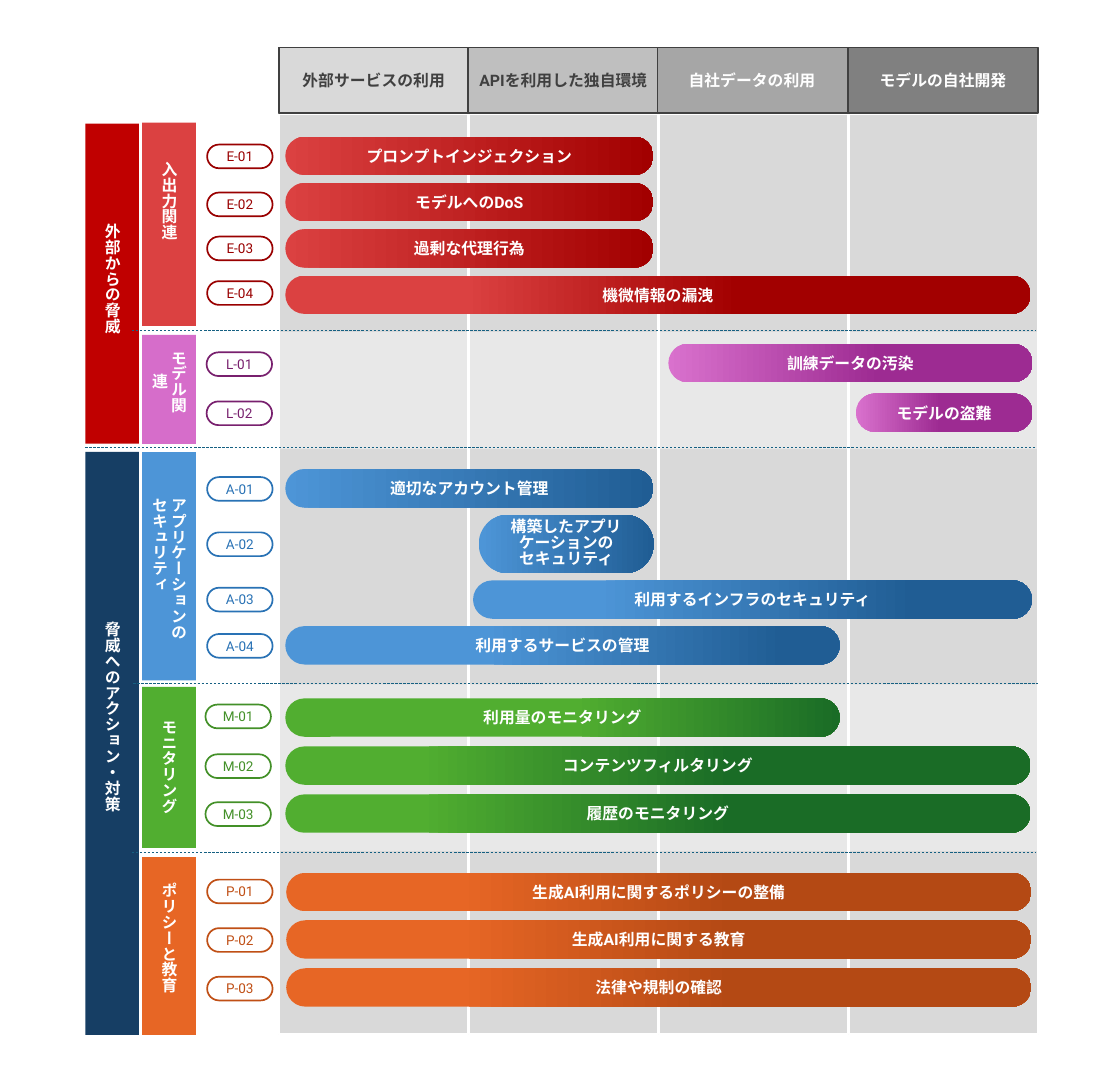
from lxml import etree
from pptx import Presentation
from pptx.dml.color import RGBColor
from pptx.enum import dml, shapes, text
from pptx.oxml import ns
from pptx.util import Pt

COLORS = {
    "white": "FFFFFF", "ink": "404040", "column": "D9D9D9", "divider": "156082",
    "threat": "C00000", "action": "163E64",
    "stage1": "D9D9D9", "stage2": "BFBFBF", "stage3": "A6A6A6", "stage4": "808080",
    "E": "DB4141", "E_end": "A20000", "E_code": "990000",
    "L": "D971CD", "L_end": "9D2B92", "L_code": "78206E", "L_tab": "D66DCA",
    "A": "4D95D7", "A_end": "205D94", "A_code": "2972B5",
    "M": "51AE30", "M_end": "1A6C26", "M_code": "439028",
    "P": "E76625", "P_end": "B44914", "P_code": "C04F15",
}
RECT = shapes.MSO_SHAPE.RECTANGLE
ROUND = shapes.MSO_SHAPE.ROUNDED_RECTANGLE
PLATE = shapes.MSO_SHAPE.PENTAGON
GRID_LEFT, GRID_TOP, COLUMN_PITCH, COLUMN_WIDTH = 247, 101, 168.25, 167.75
TAB_WIDTH, BAR_HEIGHT = 47.5, 34

deck = Presentation()
deck.slide_width, deck.slide_height = Pt(992), Pt(960)
slide = deck.slides.add_slide(deck.slide_layouts[6])


def add_block(kind, box, fill=None, line=None, adjust=None):
    """Add a shadowless preset shape; fill and line are keys of COLORS."""
    block = slide.shapes.add_shape(kind, *map(Pt, box))
    block.shadow.inherit = False
    if adjust is not None:
        block.adjustments[0] = adjust
    if fill:
        block.fill.solid()
        block.fill.fore_color.rgb = RGBColor.from_string(COLORS[fill])
    else:
        block.fill.background()
    if line:
        block.line.color.rgb = RGBColor.from_string(COLORS[line])
        block.line.width = Pt(1.5)
    else:
        block.line.fill.background()
    return block


def write(target, lines, color="white", size=14, bold=True, centred=True, spacing=None):
    """Write one paragraph per line into the target's text frame."""
    frame = target.text_frame
    frame.word_wrap = True
    for i, line in enumerate(lines):
        paragraph = frame.add_paragraph() if i else frame.paragraphs[0]
        paragraph.alignment = text.PP_ALIGN.CENTER if centred else text.PP_ALIGN.LEFT
        paragraph.line_spacing = spacing
        run = paragraph.add_run()
        run.text = line
        run.font.name, run.font.size, run.font.bold = "Roboto", Pt(size), bold
        run.font.color.rgb = RGBColor.from_string(COLORS[color])
    return frame


# Background columns and lightened bands
for i in range(4):
    add_block(RECT, (GRID_LEFT + i * COLUMN_PITCH, GRID_TOP, COLUMN_WIDTH, 815),
              "column", "white")
for left, top, height in [(241, 294, 103.5), (236, 606, 147.5)]:
    band = add_block(ROUND, (left, top, 685, height), "white", adjust=0)
    tint = band.fill._xPr.find(".//" + ns.qn("a:srgbClr"))
    etree.SubElement(tint, ns.qn("a:alpha"), val="40000")

# Header: overlapping plates, the rearmost reaching furthest right
for left, right, fill in [(247, 919.5, "stage4"), (278, 751, "stage3"),
                          (278, 582.5, "stage2"), (247, 414.75, "stage1")]:
    add_block(PLATE, (left, 42, right - left, 58), fill, "ink", 0)
for left, width, title, color in [
    (260, 142, "外部サービスの利用", "ink"),
    (417, 164, "APIを利用した独自環境", "ink"),
    (599, 134, "自社データの利用", "white"),
    (764, 142.5, "モデルの自社開発", "white"),
]:
    heading = slide.shapes.add_textbox(Pt(left), Pt(59), Pt(width), Pt(24.5))
    write(heading, [title], color).auto_size = text.MSO_AUTO_SIZE.SHAPE_TO_FIT_TEXT

# Vertical tabs: left, top, height, fill, label top, label height, label lines
for left, top, height, fill, label_top, label_height, lines in [
    (75.6, 109.5, 283.5, "threat", 191, 121, ["外部からの脅威"]),
    (75.6, 400.3, 516.3, "action", 543.6, 229, ["脅威へのアクション・対策"]),
    (126, 108.7, 180, "E", 136, 124.5, ["入出力関連"]),
    (126, 296.6, 96.5, "L_tab", 303, 83.5, ["モデル関連"]),
    (126, 400.3, 202.3, "A", 433.5, 147.6, ["アプリケーションの", "セキュリティ"]),
    (126, 608.4, 142.5, "M", 630, 98.6, ["モニタリング"]),
    (126, 759, 157.6, "P", 774.7, 125.3, ["ポリシーと教育"]),
]:
    add_block(RECT, (left, top, TAB_WIDTH, height), fill)
    label_width = 31.7 if len(lines) == 1 else 48.2
    label = slide.shapes.add_textbox(Pt(left + (TAB_WIDTH - label_width) / 2), Pt(label_top),
                                     Pt(label_width), Pt(label_height))
    frame = write(label, lines, centred=len(lines) == 1)
    frame.vertical_anchor = text.MSO_ANCHOR.MIDDLE
    frame.auto_size = text.MSO_AUTO_SIZE.SHAPE_TO_FIT_TEXT
    frame._txBody.bodyPr.set("vert", "eaVert")

# Rows per family: code top, bar left, bar top, bar width, gradient stops in %, bar lines
families = {
    "E": (183.5, [
        (128, 252.7, 121, 326, (0, 100), ["プロンプトインジェクション"]),
        (170.5, 252.7, 162, 326, (0, 100), ["モデルへのDoS"]),
        (209.5, 252.7, 203, 326, (0, 100), ["過剰な代理行為"]),
        (249, 252.7, 244, 660, (24, 61), ["機微情報の漏洩"]),
    ]),
    "L": (183, [
        (312, 592, 304.5, 322.5, (0, 58), ["訓練データの汚染"]),
        (355.5, 758, 348.5, 156.5, (0, 48), ["モデルの盗難"]),
    ]),
    "A": (183.5, [
        (422.5, 252.7, 415.5, 326, (0, 100), ["適切なアカウント管理"]),
        (471.5, 424, 455.8, 155, (1, 100), ["構築したアプリケーションの", "セキュリティ"]),
        (520.5, 419, 514, 495, (22, 79), ["利用するインフラのセキュリティ"]),
        (561.5, 252.7, 554.5, 491, (36, 90), ["利用するサービスの管理"]),
    ]),
    "M": (182, [
        (624, 252.7, 618.5, 491, (52, 100), ["利用量のモニタリング"]),
        (668, 252.7, 661, 660, (18, 60), ["コンテンツフィルタリング"]),
        (710.5, 252.7, 703.5, 660, (18, 60), ["履歴のモニタリング"]),
    ]),
    "P": (183.5, [
        (779, 253.5, 773, 660, (23, 60), ["生成AI利用に関するポリシーの整備"]),
        (822, 253.5, 815, 660, (23, 60), ["生成AI利用に関する教育"]),
        (865, 253.5, 857.5, 660, (23, 60), ["法律や規制の確認"]),
    ]),
}
for family, (code_left, rows) in families.items():
    code_color = family + "_code"
    for number, (code_top, left, top, width, stops, lines) in enumerate(rows, 1):
        code = add_block(ROUND, (code_left, code_top, 58, 21), line=code_color, adjust=0.5)
        write(code, [f"{family}-{number:02}"], code_color, 12, False)

        stacked = len(lines) > 1
        bar = add_block(ROUND, (left, top, width, 52 if stacked else BAR_HEIGHT), adjust=0.5)
        bar.fill.gradient()
        bar.fill.gradient_angle = 0
        for stop, percent, color in zip(bar.fill.gradient_stops, stops, (family, family + "_end")):
            stop.position = percent / 100
            stop.color.rgb = RGBColor.from_string(COLORS[color])
        write(bar, lines, spacing=Pt(14) if stacked else None)

# Dashed dividers between families
for left, right, y in [(116.6, 917.3, 292.3), (75.6, 917.3, 396),
                       (118, 919.4, 605.5), (116.6, 917.3, 754.6)]:
    divider = slide.shapes.add_connector(shapes.MSO_CONNECTOR.STRAIGHT,
                                         Pt(left), Pt(y), Pt(right), Pt(y))
    divider.line.color.rgb = RGBColor.from_string(COLORS["divider"])
    divider.line.width = Pt(0.5)
    divider.line.dash_style = dml.MSO_LINE.DASH
    etree.SubElement(divider._element.spPr, ns.qn("a:effectLst"))

deck.save("out.pptx")
